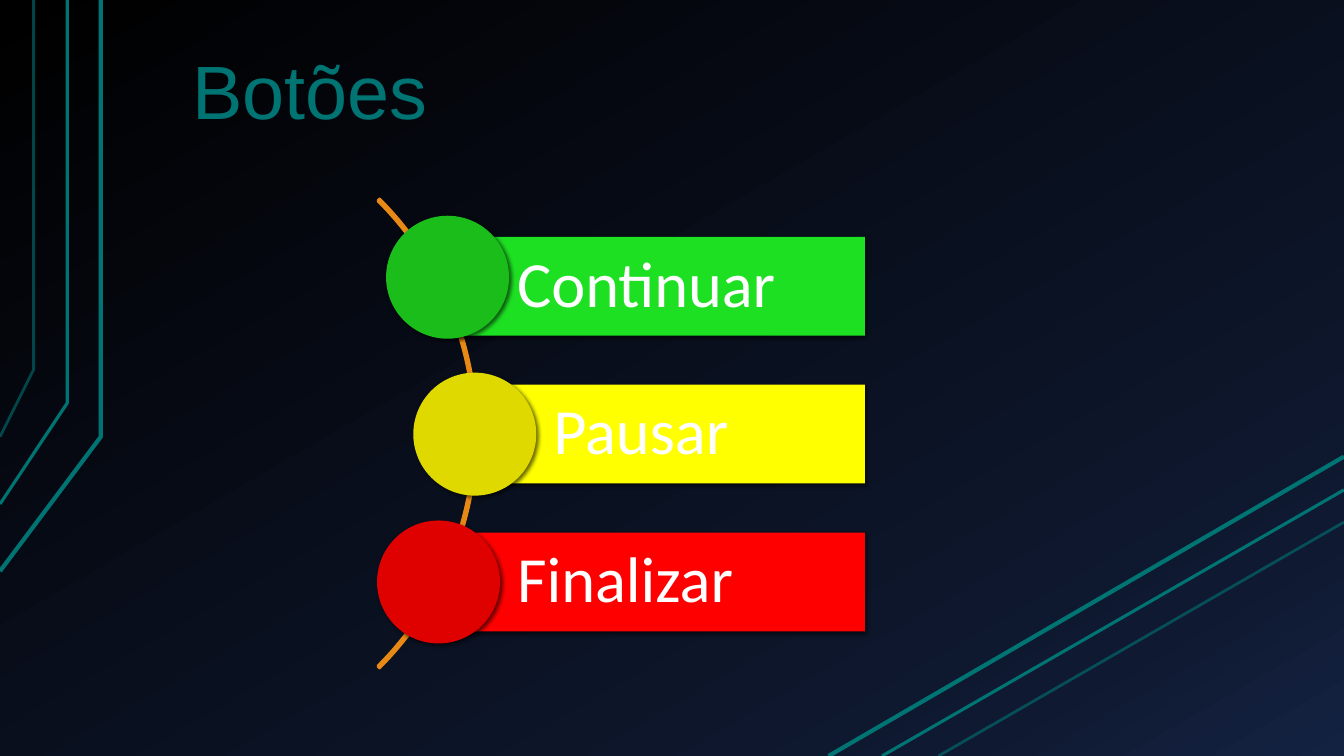
from copy import deepcopy
from lxml import etree
from pptx import Presentation
from pptx import util as u
from pptx.dml.color import RGBColor
from pptx.enum import shapes, text
from pptx.oxml.ns import qn

COLS, ROWS = 40, 22.5
TEAL = "007373"
KIND = shapes.MSO_SHAPE


def hue(code):
    return RGBColor.from_string(code)


def apply(item, form):
    for name, value in form.items():
        setattr(item, name, value)


def node(parent, tag, **attrs):
    return etree.SubElement(parent, qn(tag), {k: str(v) for k, v in attrs.items()})


class Deck:
    def __init__(self):
        self.prs = Presentation()
        self.cell = u.Inches(1 / 3)
        apply(self.prs, {"slide_width": self.grid(COLS), "slide_height": self.grid(ROWS)})
        self.slide = self.prs.slides.add_slide(self.prs.slide_layouts[6])
        self.items = self.slide.shapes

    def grid(self, size):
        return u.Emu(round(size * self.cell))

    def place(self, *sizes):
        return [self.grid(size) for size in sizes]

    def back(self, stops, angle):
        fill = self.slide.background.fill
        fill.gradient()
        fill.gradient_angle = 360 - angle
        group = self.slide.element.xpath(".//a:gsLst")[0]
        group.insert(1, deepcopy(group[0]))
        for stop, (spot, code) in zip(fill.gradient_stops, stops):
            stop.position = spot
            stop.color.rgb = hue(code)

    def stroke(self, item, code, width, alpha=100):
        item.line.color.rgb = hue(code)
        item.line.width = u.Pt(width)
        if alpha < 100:
            tint = item._element.spPr.find(".//" + qn("a:ln") + "//" + qn("a:srgbClr"))
            node(tint, "a:alpha", val=alpha * 1000)

    def bend(self, points, width, alpha):
        start, *rest = points
        pen = self.items.build_freeform(*start, scale=self.cell)
        pen.add_line_segments(rest, close=False)
        item = pen.convert_to_shape()
        item.fill.background()
        item.shadow.inherit = False
        self.stroke(item, TEAL, width, alpha)

    def beam(self, ends, width, alpha):
        item = self.items.add_connector(shapes.MSO_CONNECTOR.STRAIGHT, *self.place(*ends))
        self.stroke(item, TEAL, width, alpha)
        node(item._element.spPr, "a:effectLst")

    def arc(self, box, turns, code, width):
        item = self.items.add_shape(KIND.BLOCK_ARC, *self.place(*box))
        for spot, turn in enumerate(turns):
            item.adjustments[spot] = turn
        item.fill.background()
        item.shadow.inherit = False
        self.stroke(item, code, width)

    def block(self, kind, box, code):
        item = self.items.add_shape(kind, *self.place(*box))
        item.fill.solid()
        item.fill.fore_color.rgb = hue(code)
        item.line.fill.background()
        item.shadow.inherit = False
        group = item._element.spPr.find(qn("a:effectLst"))
        shade = node(group, "a:outerShdw", blurRad=u.Pt(3), dist=u.Pt(2),
                     dir=45 * 60000, algn="tl", rotWithShape=0)
        node(node(shade, "a:srgbClr", val="000000"), "a:alpha", val=60000)
        return item

    def letter(self, item, words, form, font, code):
        frame = item.text_frame
        apply(frame, {"word_wrap": True, **form})
        para = frame.paragraphs[0]
        apply(para, {"alignment": text.PP_ALIGN.LEFT, "line_spacing": 0.9})
        run = para.add_run()
        run.text = words
        apply(run.font, font)
        run.font.color.rgb = hue(code)

    def title(self, words, box):
        side, edge = self.place(0.39, 0.21)
        form = {"vertical_anchor": text.MSO_ANCHOR.BOTTOM, "margin_left": side,
                "margin_right": side, "margin_top": edge, "margin_bottom": edge}
        item = self.items.add_textbox(*self.place(*box))
        self.letter(item, words, form, {"name": "Arial", "size": u.Pt(54)}, TEAL)

    def label(self, item, words):
        pad, side = self.place(2.34, 0.39)
        form = {"vertical_anchor": text.MSO_ANCHOR.MIDDLE, "margin_left": pad,
                "margin_right": side, "margin_top": side, "margin_bottom": side}
        self.letter(item, words, form, {"name": "Calibri", "size": u.Pt(46)}, "FFFFFF")


def main():
    deck = Deck()
    deck.back([(0, "000000"), (0.85, "0F1931"), (1, "142242")], 60)

    pens = [(3, 100), (2.25, 100), (2, 60)]
    bends = [(2.64, 13.05, 17.16), (1.74, 12.24, 14.97), (1.02, 11.43, 13.02)]
    beams = [(24.66, 13.59), (26.25, 14.58), (27.93, 15.54)]
    for (x, knee, foot), pen in zip(bends, pens):
        deck.bend([(-0.04, foot), (x, knee), (x, 0)], *pen)
    for (x, y), pen in zip(beams, pens):
        deck.beam((x, ROWS, COLS, y), *pen)

    deck.title("Botões", (5.34, 1.56, 7.8, 2.7))
    deck.arc((-5.55, 3.03, 19.74, 19.74), (189, 27, 0.004), "E98915", 2)

    top, step, tall, right, size = 7.05, 4.4, 2.94, 25.74, 3.66
    rows = [("Continuar", 13.05, "1EE023", 11.49, 0.63, "1ABD1A"),
            ("Pausar", 14.13, "FFFF00", 12.3, 0.36, "DFD900"),
            ("Finalizar", 13.05, "FF0000", 11.22, 0.36, "DF0000")]
    for spot, (words, left, tone, x, rise, dark) in enumerate(rows):
        y = top + spot * step
        bar = deck.block(KIND.RECTANGLE, (left, y, right - left, tall), tone)
        deck.label(bar, words)
        deck.block(KIND.OVAL, (x, y - rise, size, size), dark)

    deck.prs.save("out.pptx")


if __name__ == "__main__":
    main()
